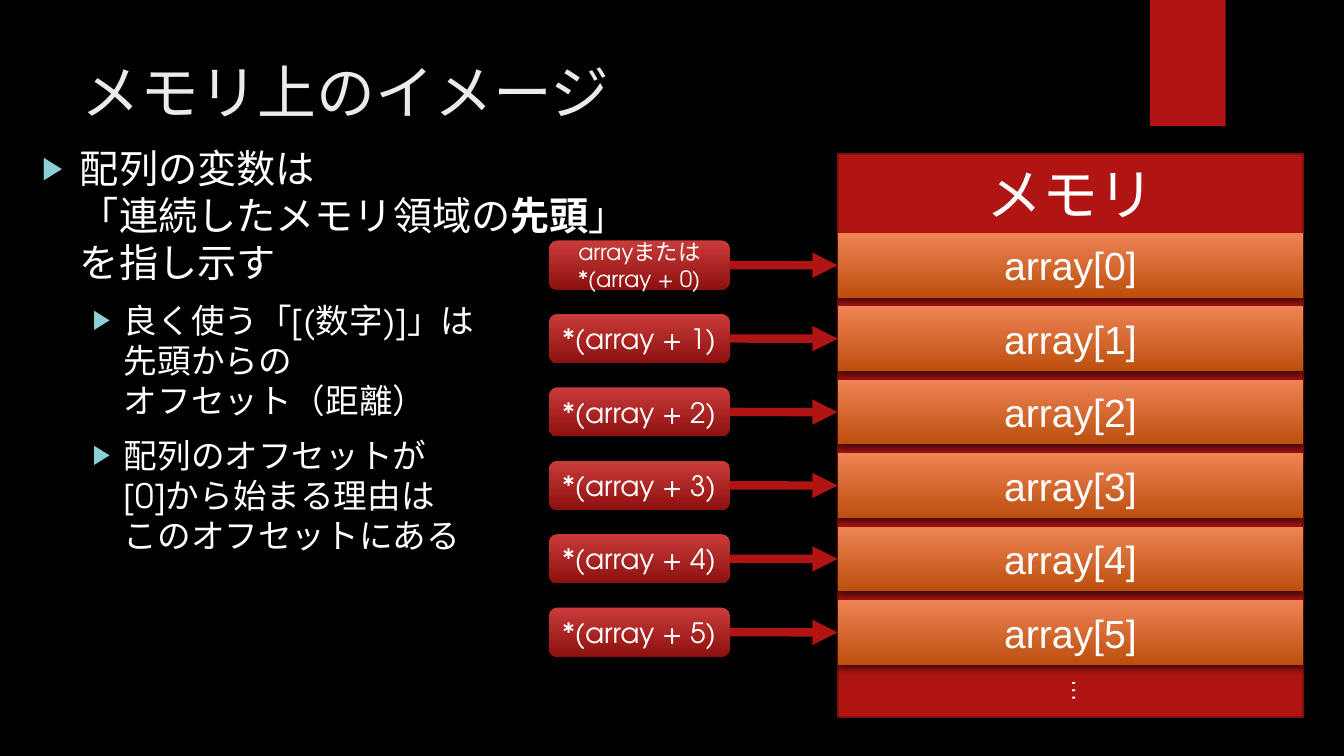
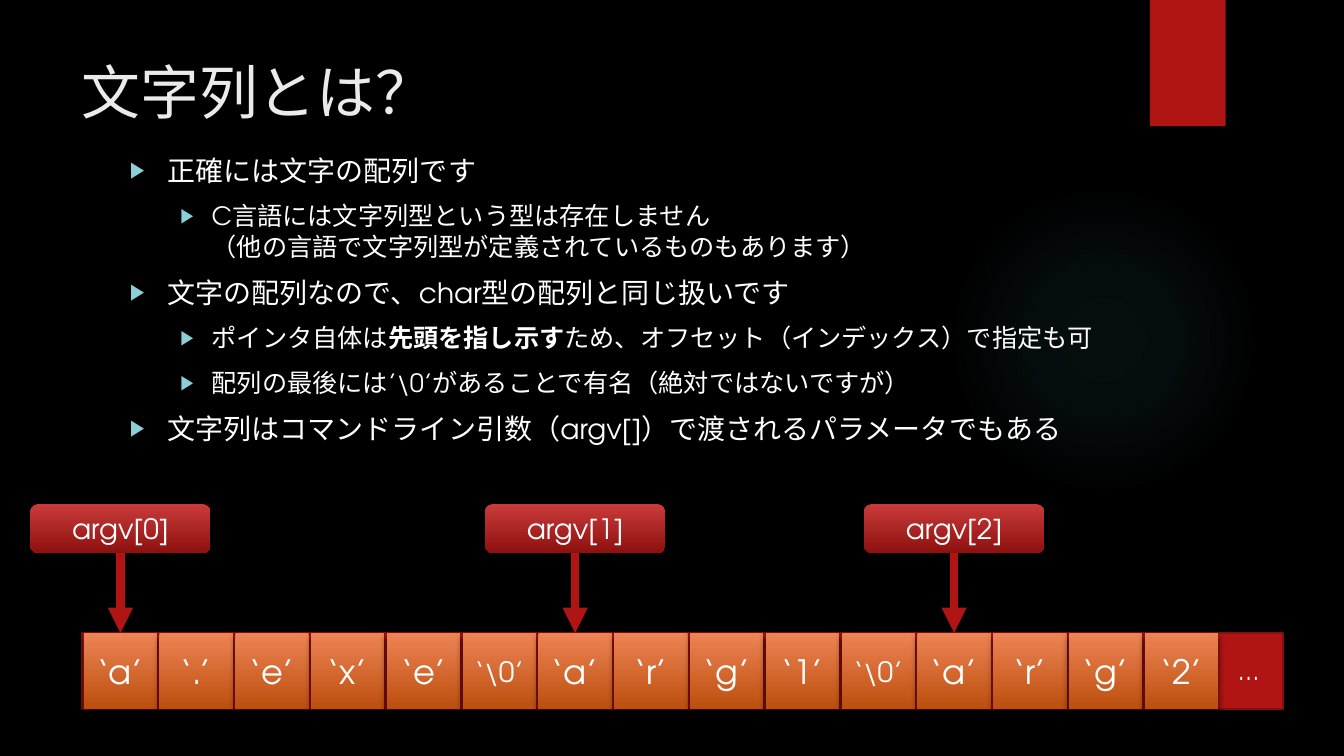
from lxml.etree import SubElement
from pptx import Presentation
from pptx.dml.color import RGBColor
from pptx.enum.shapes import MSO_CONNECTOR, MSO_SHAPE
from pptx.enum.text import MSO_ANCHOR, MSO_AUTO_SIZE, PP_ALIGN
from pptx.oxml.ns import qn
from pptx.util import Cm, Pt

# Colours and fonts
BLACK = RGBColor(0x00, 0x00, 0x00)
WHITE = RGBColor(0xFF, 0xFF, 0xFF)
TITLE_GREY = RGBColor(0xEB, 0xEB, 0xEB)
RED = RGBColor(0xB0, 0x15, 0x13)
DARK_RED = RGBColor(0x82, 0x10, 0x0E)
BULLET_TEAL = RGBColor(0x8A, 0xD0, 0xD6)
GLOW_TEAL = RGBColor(0x50, 0xB9, 0xC1)
CELL_GRADIENT = (RGBColor(0xEE, 0x84, 0x55), RGBColor(0xBC, 0x4F, 0x0E))
LABEL_GRADIENT = (RGBColor(0xC9, 0x3B, 0x3A), RGBColor(0x8D, 0x11, 0x0F))
MAIN_FONT = "TeX Gyre Adventor"
CELL_FONT = "Arial"

# Connection sites of a rectangle
TOP, LEFT, BOTTOM, RIGHT = range(4)

# Left margin and hanging indent of each list level
LIST_INDENTS = ((Cm(0.95), Cm(-0.95)), (Cm(2.06), Cm(-0.79)))
LABEL_WIDTH, LABEL_HEIGHT = Cm(4.55), Cm(1.24)


def add_xml(parent, tag, **attributes):
    element = SubElement(parent, qn(tag))
    for name, value in attributes.items():
        element.set(name, str(value))
    return element


def add_colour(parent, colour, alpha):
    element = add_xml(parent, "a:srgbClr", val=colour)
    add_xml(element, "a:alpha", val=alpha * 1000)


# Text
def add_text(paragraph, text, size, colour=WHITE, font=MAIN_FONT, bold=False):
    for index, line in enumerate(text.split("\n")):
        if index:
            paragraph.add_line_break()
        if not line:
            continue
        run = paragraph.add_run()
        run.text = line
        run.font.size = Pt(size)
        run.font.bold = bold
        run.font.name = font
        run.font.color.rgb = colour
        add_xml(run.font.color and run._r.get_or_add_rPr(), "a:ea", typeface=font)


def set_title(slide, text):
    frame = slide.shapes.title.text_frame
    frame.vertical_anchor = MSO_ANCHOR.TOP
    frame.auto_size = MSO_AUTO_SIZE.NONE
    paragraph = frame.paragraphs[0]
    paragraph.alignment = PP_ALIGN.LEFT
    add_text(paragraph, text, 42, TITLE_GREY)


def set_list(slide, box, sizes, items):
    body = slide.placeholders[1]
    body.left, body.top, body.width, body.height = box
    frame = body.text_frame
    frame.auto_size = MSO_AUTO_SIZE.NONE
    for index, (level, parts) in enumerate(items):
        paragraph = frame.add_paragraph() if index else frame.paragraphs[0]
        paragraph.level = level
        paragraph.space_before = Pt(10)
        add_bullet(paragraph, *LIST_INDENTS[level])
        for text, bold in parts:
            add_text(paragraph, text, sizes[level], bold=bold)


def add_bullet(paragraph, margin, indent):
    properties = paragraph._p.get_or_add_pPr()
    properties.set("marL", str(margin))
    properties.set("indent", str(indent))
    colour = add_xml(properties, "a:buClr")
    add_xml(colour, "a:srgbClr", val=BULLET_TEAL)
    add_xml(properties, "a:buSzPct", val=80000)
    add_xml(properties, "a:buFont", typeface=CELL_FONT)
    add_xml(properties, "a:buChar", char="▶")


def add_ellipsis(slide, left, top, width, height, vertical=False):
    shape = slide.shapes.add_textbox(left, top, width, height)
    frame = shape.text_frame
    frame.word_wrap = True
    frame.auto_size = MSO_AUTO_SIZE.SHAPE_TO_FIT_TEXT
    if vertical:
        next(shape.element.iter(qn("a:bodyPr"))).set("vert", "eaVert")
    add_text(frame.paragraphs[0], "…", 18)


# Shapes
def add_flat(slide, kind, left, top, width, height, outlined=False):
    shape = slide.shapes.add_shape(kind, left, top, width, height)
    shape.shadow.inherit = False
    shape.fill.solid()
    shape.fill.fore_color.rgb = RED
    if outlined:
        shape.line.color.rgb = DARK_RED
        shape.line.width = Pt(1.5)
    else:
        shape.line.fill.background()
    return shape


def add_shadow(shape, blur, distance, alpha):
    effects = shape.element.spPr.find(qn("a:effectLst"))
    shadow = add_xml(effects, "a:outerShdw", blurRad=Pt(blur), dist=Pt(distance),
                     dir=5400000, rotWithShape=0)
    add_colour(shadow, BLACK, alpha)


def add_block(slide, kind, gradient, box, text, size, font=MAIN_FONT):
    shape = add_flat(slide, kind, *box)
    shape.fill.gradient()
    shape.fill.gradient_angle = 270
    for stop, colour in zip(shape.fill.gradient_stops, gradient):
        stop.color.rgb = colour
    add_shadow(shape, 5, 3, 60)
    frame = shape.text_frame
    frame.vertical_anchor = MSO_ANCHOR.MIDDLE
    frame.paragraphs[0].alignment = PP_ALIGN.CENTER
    add_text(frame.paragraphs[0], text, size, font=font)
    return shape


def add_cell(slide, box, text, size, font=MAIN_FONT):
    return add_block(slide, MSO_SHAPE.RECTANGLE, CELL_GRADIENT, box, text, size, font)


def add_label(slide, left, top, text, size=20):
    box = (left, top, LABEL_WIDTH, LABEL_HEIGHT)
    return add_block(slide, MSO_SHAPE.ROUNDED_RECTANGLE, LABEL_GRADIENT, box, text, size)


def add_arrow(slide, label, label_site, cell, cell_site):
    arrow = slide.shapes.add_connector(MSO_CONNECTOR.STRAIGHT, 0, 0, 0, 0)
    arrow.begin_connect(label, label_site)
    arrow.end_connect(cell, cell_site)
    arrow.line.color.rgb = RED
    arrow.line.width = Pt(6)
    add_xml(arrow.line._get_or_add_ln(), "a:tailEnd", type="triangle")
    add_xml(arrow.element.spPr, "a:effectLst")


def add_glow(slide):
    glow = add_flat(slide, MSO_SHAPE.OVAL, Cm(23.9), Cm(4.65), Cm(7.82), Cm(7.82))
    properties = glow.element.spPr
    solid = properties.find(qn("a:solidFill"))
    gradient = add_xml(properties, "a:gradFill", rotWithShape=1)
    stops = add_xml(gradient, "a:gsLst")
    for position, alpha in ((0, 7), (36, 6), (69, 0)):
        add_colour(add_xml(stops, "a:gs", pos=position * 1000), GLOW_TEAL, alpha)
    centre = add_xml(gradient, "a:path", path="circle")
    add_xml(centre, "a:fillToRect", l=50000, t=50000, r=50000, b=50000)
    properties.replace(solid, gradient)
    # Behind the title and the list
    slide.shapes.element.insert(2, glow.element)


# Shared look
def prepare_layout(presentation):
    background = presentation.slide_master.background.fill
    background.solid()
    background.fore_color.rgb = BLACK
    layout = presentation.slide_layouts[1]
    title = layout.placeholders[0]
    title.left, title.top = Cm(1.8), Cm(1.27)
    title.width, title.height = Cm(26.14), Cm(3.89)
    return layout


def move_banner_to_layout(slide):
    banner = add_flat(slide, MSO_SHAPE.RECTANGLE, Cm(28.98), 0, Cm(1.91), Cm(3.18))
    add_shadow(banner, 3, 2, 45)
    slide.slide_layout.shapes.element.insert(2, banner.element)


# Slides
def build_memory_slide(slide):
    set_title(slide, "メモリ上のイメージ")
    set_list(slide, (Cm(0.81), Cm(3.51), Cm(18.59), Cm(11.66)), (28, 24), [
        (0, [("配列の変数は\n「連続したメモリ領域の", False), ("先頭", True),
             ("」\nを指し示す", False)]),
        (1, [("良く使う「[(数字)]」は\n先頭からの\nオフセット（距離）", False)]),
        (1, [("配列のオフセットが\n[0]から始まる理由は\nこのオフセットにある", False)]),
    ])

    left, width = Cm(21.11), Cm(11.73)
    memory = add_flat(slide, MSO_SHAPE.RECTANGLE, left, Cm(3.89), width, Cm(14.17), True)
    memory.text_frame.vertical_anchor = MSO_ANCHOR.TOP
    paragraph = memory.text_frame.paragraphs[0]
    paragraph.alignment = PP_ALIGN.CENTER
    add_text(paragraph, "メモリ", 40)

    for index in range(6):
        offset = index * Cm(1.85)
        cell = add_cell(slide, (left, Cm(5.87) + offset, width, Cm(1.63)),
                        f"array[{index}]", 28, CELL_FONT)
        text = f"*(array + {index})"
        if index == 0:
            label = add_label(slide, Cm(13.84), Cm(6.06), "arrayまたは\n" + text, 16)
        else:
            label = add_label(slide, Cm(13.84), Cm(6.06) + offset, text)
        add_arrow(slide, label, RIGHT, cell, LEFT)
    add_ellipsis(slide, Cm(26.52), Cm(16.89), Cm(1.27), Cm(1.02), vertical=True)


def build_string_slide(slide):
    add_glow(slide)
    set_title(slide, "文字列とは？")
    set_list(slide, (Cm(3.02), Cm(3.73), Cm(27.03), Cm(11.66)), (20, 18), [
        (0, [("正確には文字の配列です", False)]),
        (1, [("C言語には文字列型という型は存在しません\n"
              "（他の言語で文字列型が定義されているものもあります）", False)]),
        (0, [("文字の配列なので、char型の配列と同じ扱いです", False)]),
        (1, [("ポインタ自体は", False), ("先頭を指し示す", True),
             ("ため、オフセット（インデックス）で指定も可", False)]),
        (1, [("配列の最後には’\\0’があることで有名（絶対ではないですが）", False)]),
        (0, [("文字列はコマンドライン引数（argv[]）で渡されるパラメータでもある", False)]),
    ])

    # Characters of all arguments, each argument ended by \0
    top, height = Cm(15.95), Cm(1.91)
    add_flat(slide, MSO_SHAPE.RECTANGLE, Cm(2.06), top, Cm(30.28), height, True)
    characters = [*"a.exe", "\\0", *"arg1", "\\0", *"arg2"]
    cells = []
    for index, character in enumerate(characters):
        box = (Cm(2.11) + index * Cm(1.91), top, Cm(1.85), height)
        size = 20 if character == "\\0" else 24
        cells.append(add_cell(slide, box, f"‘{character}’", size))
    add_ellipsis(slide, Cm(30.96), Cm(16.38), Cm(1.37), Cm(1.02))

    # Labels centred over the first character of each argument
    starts = [cell for cell, character in zip(cells, characters) if character == "a"]
    for index, cell in enumerate(starts):
        left = cell.left + (cell.width - LABEL_WIDTH) // 2
        label = add_label(slide, left, Cm(12.7), f"argv[{index}]")
        add_arrow(slide, label, BOTTOM, cell, TOP)


def main():
    presentation = Presentation()
    presentation.slide_width, presentation.slide_height = Cm(33.87), Cm(19.05)
    layout = prepare_layout(presentation)
    memory_slide = presentation.slides.add_slide(layout)
    move_banner_to_layout(memory_slide)
    build_memory_slide(memory_slide)
    build_string_slide(presentation.slides.add_slide(layout))
    presentation.save("out.pptx")


main()
